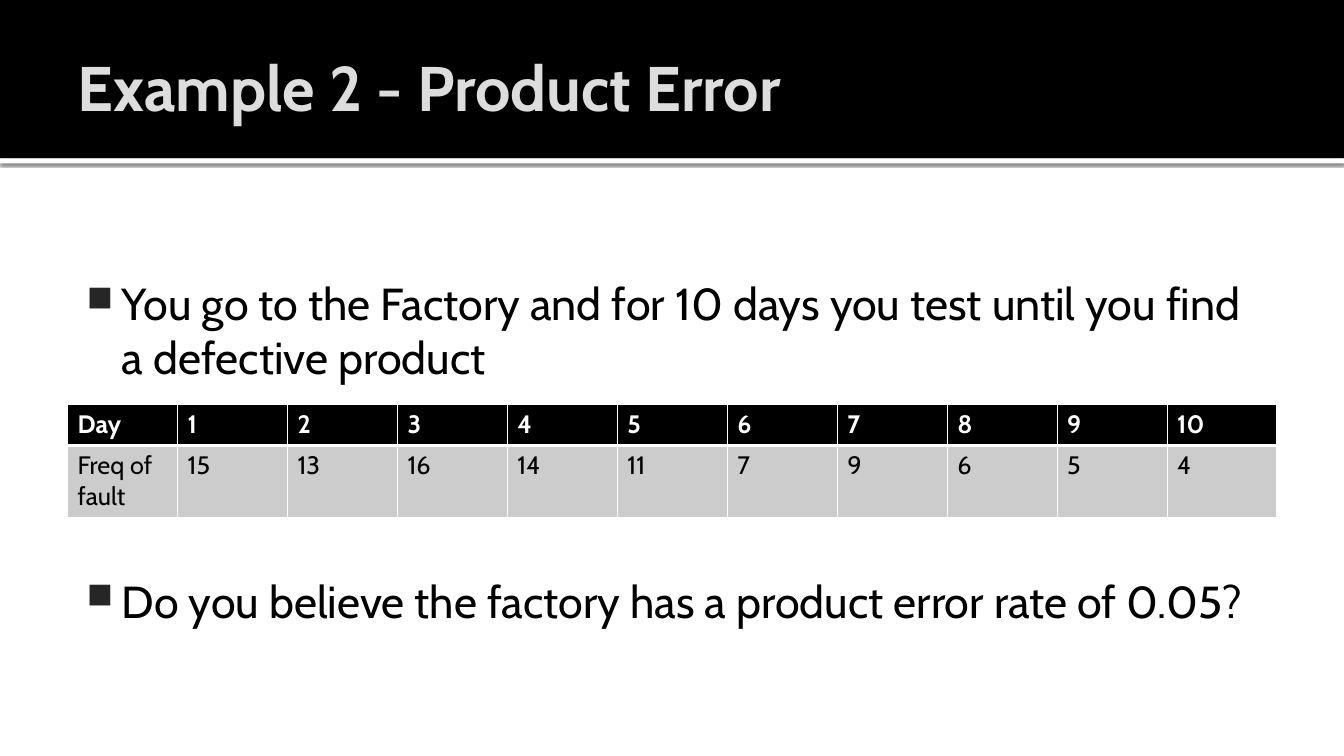
from dataclasses import dataclass

from lxml import etree
from pptx import Presentation
from pptx.dml.color import RGBColor
from pptx.enum import shapes, text
from pptx.oxml import ns
from pptx.util import Inches, Pt


@dataclass(frozen=True)
class Theme:
    font: str = "Cabin"
    black: str = "000000"
    white: str = "FFFFFF"
    heading: str = "DDDDDD"
    cell: str = "CCCCCC"
    bullet: str = "262626"
    heading_size: int = 45
    body_size: int = 32
    table_size: int = 18


@dataclass(frozen=True)
class Band:
    top: float
    height: float
    color: str
    shadowed: bool = False


@dataclass(frozen=True)
class Statement:
    words: str
    top: float
    insets: tuple[float, float, float, float]
    size: int
    color: str
    bold: bool = False
    bulleted: bool = False
    anchor: text.MSO_ANCHOR = text.MSO_ANCHOR.TOP


@dataclass(frozen=True)
class TableRow:
    values: tuple[str, ...]
    height: float
    fill: str
    color: str
    bold: bool
    edges: dict[str, float]


THEME = Theme()
WIDTH, HEIGHT = 13.33, 7.5
LEFT, CONTENT_WIDTH, STATEMENT_HEIGHT = 0.67, 12, 1.37
TABLE_TOP = 4.01
BODY = {"insets": (0.06, 0.1, 0.1, 0.05), "size": THEME.body_size,
        "color": THEME.black, "bulleted": True}

BANDS = (
    Band(1.57, 0.05, THEME.white, shadowed=True),
    Band(0, 1.57, THEME.black),
)
STATEMENTS = (
    Statement("Example 2 - Product Error", 0.17, (0.1, 0.05, 0.05, 0.05),
              THEME.heading_size, THEME.heading, bold=True,
              anchor=text.MSO_ANCHOR.MIDDLE),
    Statement("You go to the Factory and for 10 days you test until you find "
              "a defective product", 2.64, **BODY),
    Statement("Do you believe the factory has a product error rate of 0.05?",
              5.59, **BODY),
)
FAULTS = (15, 13, 16, 14, 11, 7, 9, 6, 5, 4)
ROWS = (
    TableRow(("Day", *(str(day + 1) for day in range(len(FAULTS)))), 0.41,
             THEME.black, THEME.white, True, {"L": 1, "R": 1, "T": 1, "B": 3}),
    TableRow(("Freq of fault", *map(str, FAULTS)), 0.7,
             THEME.cell, THEME.black, False, {"L": 1, "R": 1, "T": 3, "B": 1}),
)


def add_child(parent, tag: str, **attributes):
    values = {name: str(value) for name, value in attributes.items()}
    return etree.SubElement(parent, ns.qn(tag), values)


def write(frame, words: str, size: int, color: str, bold: bool):
    paragraph = frame.paragraphs[0]
    run = paragraph.add_run()
    run.text = words
    font_format = {"name": THEME.font, "size": Pt(size), "bold": bold}
    for name, value in font_format.items():
        setattr(run.font, name, value)
    run.font.color.rgb = RGBColor.from_string(color)
    return paragraph


def draw_band(slide, band: Band) -> None:
    bar = slide.shapes.add_shape(shapes.MSO_SHAPE.RECTANGLE, 0, Inches(band.top),
                                 Inches(WIDTH), Inches(band.height))
    bar.shadow.inherit = False
    bar.fill.solid()
    bar.fill.fore_color.rgb = RGBColor.from_string(band.color)
    bar.line.fill.background()
    if band.shadowed:
        effects = bar._element.spPr.find(ns.qn("a:effectLst"))
        shadow = add_child(effects, "a:outerShdw", blurRad=Pt(2.5), dist=Pt(0.8),
                           dir=5400000, algn="tl", rotWithShape=0)
        tone = add_child(shadow, "a:srgbClr", val=THEME.black)
        add_child(tone, "a:alpha", val=60000)


def add_bullet(paragraph) -> None:
    properties = paragraph._p.get_or_add_pPr()
    properties.set("marL", str(Inches(0.48)))
    properties.set("indent", str(Inches(-0.35)))
    tone = add_child(properties, "a:buClr")
    add_child(tone, "a:srgbClr", val=THEME.bullet)
    add_child(properties, "a:buSzPct", val=80000)
    add_child(properties, "a:buChar", char="■")


def draw_statement(slide, statement: Statement) -> None:
    frame = slide.shapes.add_textbox(
        Inches(LEFT), Inches(statement.top), Inches(CONTENT_WIDTH),
        Inches(STATEMENT_HEIGHT)).text_frame
    left, top, right, bottom = map(Inches, statement.insets)
    frame_format = {"word_wrap": True, "vertical_anchor": statement.anchor,
                    "margin_left": left, "margin_top": top,
                    "margin_right": right, "margin_bottom": bottom}
    for name, value in frame_format.items():
        setattr(frame, name, value)
    paragraph = write(frame, statement.words, statement.size, statement.color,
                      statement.bold)
    if statement.bulleted:
        add_bullet(paragraph)


def add_borders(cell, edges: dict[str, float]) -> None:
    properties = cell._tc.get_or_add_tcPr()
    for position, (side, points) in enumerate(edges.items()):
        border = add_child(properties, f"a:ln{side}", w=Pt(points))
        add_child(add_child(border, "a:solidFill"), "a:srgbClr", val=THEME.white)
        properties.insert(position, border)


def draw_table(slide, rows: tuple[TableRow, ...]) -> None:
    columns = len(rows[0].values)
    faults = slide.shapes.add_table(
        len(rows), columns, Inches(LEFT), Inches(TABLE_TOP),
        Inches(CONTENT_WIDTH), Inches(sum(row.height for row in rows))).table
    faults.horz_banding = False
    for column in faults.columns:
        column.width = Inches(CONTENT_WIDTH / columns)
    for row_index, row in enumerate(rows):
        faults.rows[row_index].height = Inches(row.height)
        for column_index, value in enumerate(row.values):
            cell = faults.cell(row_index, column_index)
            cell.fill.solid()
            cell.fill.fore_color.rgb = RGBColor.from_string(row.fill)
            add_borders(cell, row.edges)
            write(cell.text_frame, value, THEME.table_size, row.color, row.bold)


def main() -> None:
    deck = Presentation()
    deck.slide_width, deck.slide_height = Inches(WIDTH), Inches(HEIGHT)
    slide = deck.slides.add_slide(deck.slide_layouts[6])
    for band in BANDS:
        draw_band(slide, band)
    draw_table(slide, ROWS)
    for statement in STATEMENTS:
        draw_statement(slide, statement)
    deck.save("out.pptx")


if __name__ == "__main__":
    main()
